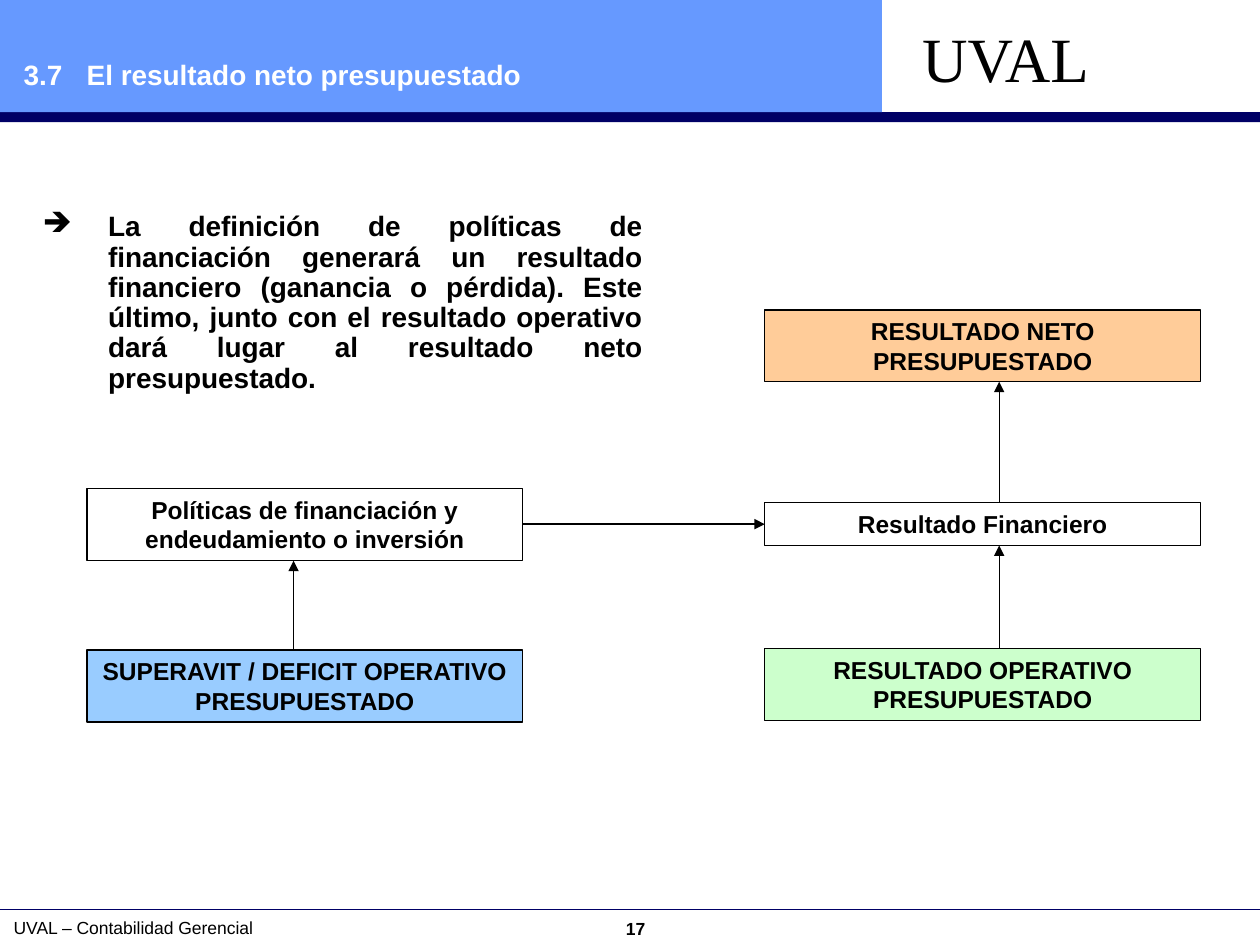
from lxml.etree import SubElement
from pptx import Presentation
from pptx.dml.color import RGBColor
from pptx.enum.shapes import MSO_CONNECTOR as Link, MSO_SHAPE as Shape
from pptx.enum.text import MSO_ANCHOR as Anchor, PP_ALIGN as Align
from pptx.oxml.ns import qn
from pptx.util import Inches, Pt

BLACK, NAVY, WHITE = "000000", "000066", "FFFFFF"
LEFT, RIGHT, WIDE = 0.69, 6.07, 3.46
LEFT_MID, RIGHT_MID = 2.33, 7.93

# left, top, height, fill, text
BOXES = [
    (RIGHT, 5.15, 0.57, "CCFFCC", "RESULTADO OPERATIVO PRESUPUESTADO"),
    (LEFT, 5.16, 0.57, "99CCFF", "SUPERAVIT / DEFICIT OPERATIVO PRESUPUESTADO"),
    (LEFT, 3.88, 0.57, None, "Políticas de financiación y endeudamiento o inversión"),
    (RIGHT, 3.99, 0.34, None, "Resultado Financiero"),
    (RIGHT, 2.46, 0.57, "FFCC99", "RESULTADO NETO PRESUPUESTADO"),
]
ARROWS = [
    (LEFT_MID, 5.16, LEFT_MID, 4.45),
    (LEFT + WIDE, 4.16, RIGHT, 4.16),
    (RIGHT_MID, 5.15, RIGHT_MID, 4.33),
    (RIGHT_MID, 3.99, RIGHT_MID, 3.03),
]
BODY = (
    "La definición de políticas de financiación generará un resultado "
    "financiero (ganancia o pérdida). Este último, junto con el resultado "
    "operativo dará lugar al resultado neto presupuestado."
)


def color(code):
    return RGBColor.from_string(code)


def write(shape, text, size, bold=False, align=Align.LEFT, ink=BLACK,
          font="Arial", before=0):
    """Fill a shape with one paragraph and return that paragraph."""
    frame = shape.text_frame
    frame.text = text
    frame.word_wrap = True
    frame.vertical_anchor = Anchor.TOP
    para = frame.paragraphs[0]
    para.alignment = align
    para.space_before = Pt(before)
    for run in para.runs:
        run.font.name = font
        run.font.size = Pt(size)
        run.font.bold = bold
        run.font.color.rgb = color(ink)
    return para


def add_text(slide, place, text, size, **style):
    box = slide.shapes.add_textbox(*map(Inches, place))
    return write(box, text, size, **style)


def add_rect(slide, place, fill=None, line=None):
    rect = slide.shapes.add_shape(Shape.RECTANGLE, *map(Inches, place))
    rect.shadow.inherit = False
    if fill:
        rect.fill.solid()
        rect.fill.fore_color.rgb = color(fill)
    else:
        rect.fill.background()
    if line:
        rect.line.color.rgb = color(line)
        rect.line.width = Pt(0.75)
    else:
        rect.line.fill.background()
    return rect


def add_line(slide, ends, ink=BLACK, arrow=False):
    line = slide.shapes.add_connector(Link.STRAIGHT, *map(Inches, ends))
    line.line.color.rgb = color(ink)
    line.line.width = Pt(0.75)
    if arrow:
        SubElement(line.line._get_or_add_ln(), qn("a:tailEnd"), type="triangle")
    SubElement(line._element.spPr, qn("a:effectLst"))


def indent(para, size):
    """Set a hanging indent and return the paragraph properties."""
    props = para._p.get_or_add_pPr()
    props.set("marL", str(Inches(size)))
    props.set("indent", str(-Inches(size)))
    return props


def add_bullet(para, mark):
    props = indent(para, 0.52)
    ink = SubElement(props, qn("a:buClr"))
    SubElement(ink, qn("a:srgbClr"), val=BLACK)
    SubElement(props, qn("a:buChar"), char=mark)


def add_frame(slide):
    """Draw the header bands and the footer."""
    add_text(slide, (0.07, 7.24, 9.95, 0.27), "17", 10, bold=True,
             align=Align.CENTER)
    add_rect(slide, (0, 0.89, 10, 0.08), NAVY)
    add_line(slide, (0, 7.22, 10, 7.22), NAVY)
    add_text(slide, (0.01, 7.23, 4.08, 0.27), "UVAL – Contabilidad Gerencial", 10)
    add_rect(slide, (0, 0, 7, 0.89), "6699FF")
    add_text(slide, (7.22, 0.11, 1.6, 0.7), "UVAL", 36,
             font="Times New Roman", before=22.5)


def main():
    deck = Presentation()
    deck.slide_width, deck.slide_height = Inches(10), Inches(7.5)
    slide = deck.slides.add_slide(deck.slide_layouts[6])
    add_frame(slide)

    body = add_text(slide, (0.24, 1.64, 4.96, 1.76), BODY, 16, bold=True,
                    align=Align.JUSTIFY, before=4)
    body.line_spacing = 0.9
    add_bullet(body, "➔")

    for left, top, high, fill, text in BOXES:
        box = add_rect(slide, (left, top, WIDE, high), fill, BLACK)
        write(box, text, 14, bold=True, align=Align.CENTER, before=8.8)
    for ends in ARROWS:
        add_line(slide, ends, arrow=True)

    title = add_text(slide, (0.09, 0.41, 6.83, 0.37),
                     "3.7\tEl resultado neto presupuestado", 16, bold=True,
                     ink=WHITE)
    indent(title, 0.5)
    deck.save("out.pptx")


if __name__ == "__main__":
    main()
